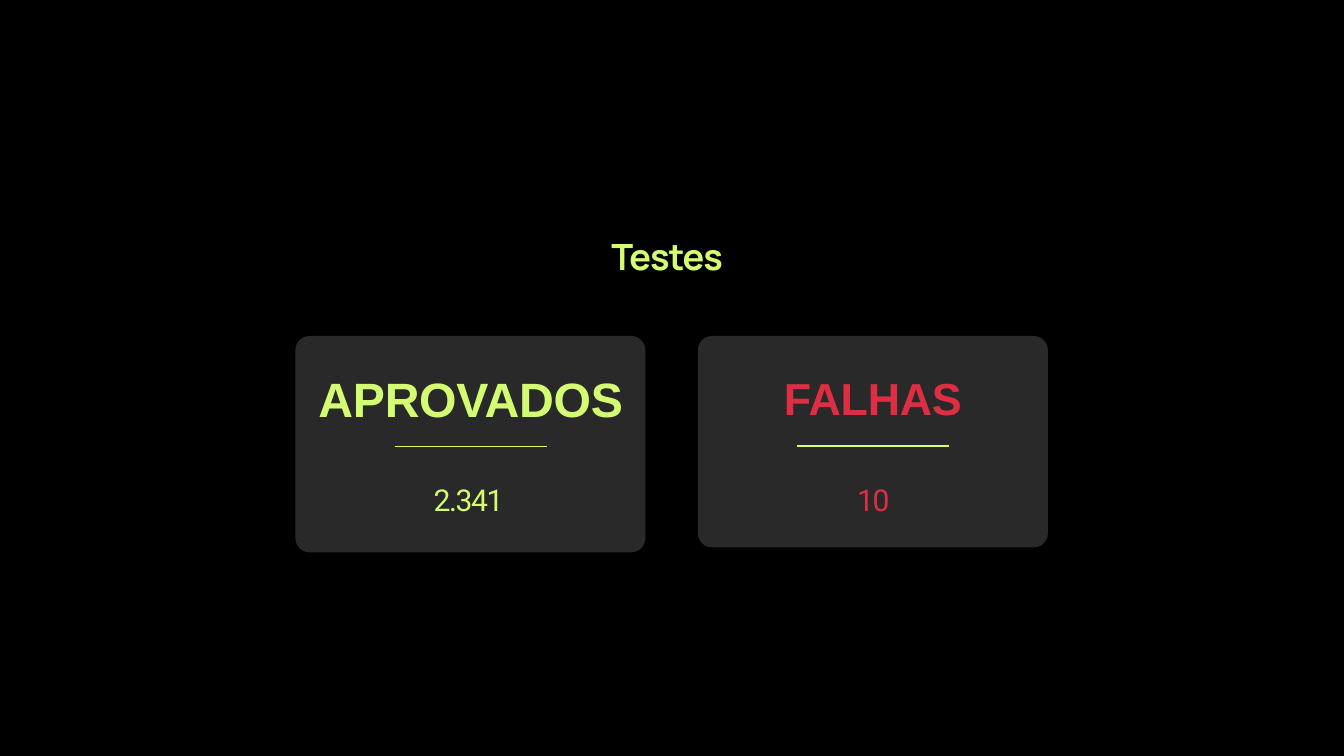
"""Build a slide with the counts of passed and failed tests."""
from pptx import Presentation
from pptx import util as u
from pptx.dml.color import RGBColor
from pptx.enum import shapes, text
from pptx.oxml.ns import qn
from lxml import etree

LIME, RED, GREY = "D4FC72", "DD2E44", "292929"


def px(*vals):
    return [u.Emu(val * 9525) for val in vals]


def write(box, words, at, font, size, color, lead, gap, bold=False):
    box.left, box.top, box.width, box.height = px(*at)
    frame = box.text_frame
    frame.word_wrap = True
    frame.auto_size = text.MSO_AUTO_SIZE.NONE
    frame.vertical_anchor = text.MSO_ANCHOR.TOP
    frame.margin_left = frame.margin_right = 0
    frame.margin_top = frame.margin_bottom = 0
    para = frame.paragraphs[0]
    para.alignment = text.PP_ALIGN.CENTER
    para.line_spacing = u.Pt(lead)
    run = para.add_run()
    run.text = words
    run.font.name = font
    run.font.size = u.Pt(size)
    run.font.bold = bold
    run.font.color.rgb = RGBColor.from_string(color)
    run.font._element.set("spc", str(gap))


deck = Presentation()
deck.slide_width, deck.slide_height = px(1920, 1080)
slide = deck.slides.add_slide(deck.slide_layouts[5])
slide.background.fill.solid()
slide.background.fill.fore_color.rgb = RGBColor.from_string("000000")
items = slide.shapes

write(items.title, "Testes", (822, 347, 262, 56), "Manrope", 38.7, LIME, 36.8, -100, True)

cards = [
    ("APROVADOS", "2.341", LIME, 422, 309, 638, (443, 533, 459, 80), 51.6, 57.8, 506),
    ("FALHAS", "10", RED, 997, 302, 637, (1022, 534, 450, 72), 48, 53.8, 1084),
]
for name, count, color, left, high, rule, spot, size, lead, start in cards:
    card = items.add_shape(shapes.MSO_SHAPE.ROUNDED_RECTANGLE, *px(left, 480, 500, high))
    card.adjustments[0] = 20 / high
    card.shadow.inherit = False
    card.fill.solid()
    card.fill.fore_color.rgb = RGBColor.from_string(GREY)
    card.line.fill.background()

    line = items.add_connector(
        shapes.MSO_CONNECTOR.STRAIGHT, *px(left + 142, rule, left + 359, rule))
    line.line.color.rgb = RGBColor.from_string(LIME)
    line.line.width = u.Pt(1.5)
    etree.SubElement(line._element.spPr, qn("a:effectLst"))

    write(items.add_textbox(0, 0, 0, 0), name, spot, "Arial", size, color, lead, -30, True)
    write(items.add_textbox(0, 0, 0, 0), count, (start, 691, 327, 51),
          "Roboto", 32.2, color, 36.1, -150)

deck.save("out.pptx")
